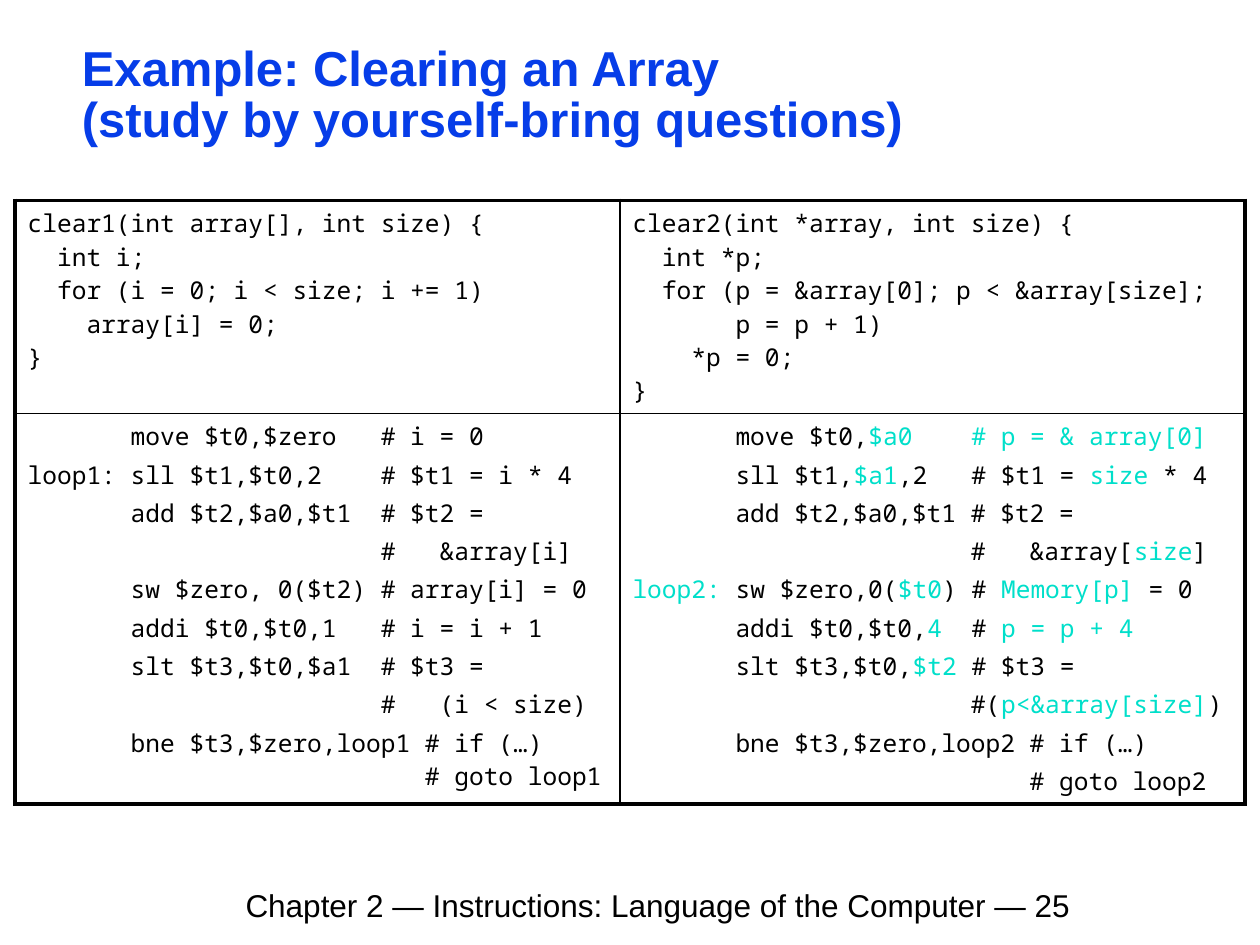
from dataclasses import dataclass

from lxml.etree import SubElement
from pptx import Presentation
from pptx.dml.color import RGBColor
from pptx.oxml.ns import qn
from pptx.util import Inches, Pt


@dataclass(frozen=True)
class Theme:
    """Colours, fonts and sizes of the slide."""
    ink: str = "000000"
    title: str = "063DE8"
    accent: str = "00DFCA"
    paper: str = "FFFFFF"
    text_font: str = "Arial"
    code_font: str = "Noto Sans Mono"
    title_size: float = 28
    footer_size: float = 18
    code_size: float = 14
    code_gap: float = 2.8
    outer_line: float = 2.25
    inner_line: float = 1


THEME = Theme()
TITLE_FORMAT = {"name": THEME.text_font, "size": Pt(THEME.title_size), "bold": True}
FOOTER_FORMAT = {"name": THEME.text_font, "size": Pt(THEME.footer_size)}
CODE_FORMAT = {"name": THEME.code_font, "size": Pt(THEME.code_size)}
TITLE_MARGINS = {
    "margin_left": Inches(0.07), "margin_right": Inches(0.07),
    "margin_top": Inches(0.03), "margin_bottom": Inches(0.03),
}
ACCENT_MARK = "~"
COLUMN_WIDTHS = (4.8, 4.96)
ROW_HEIGHTS = (1.69, 3.1)

ARRAY_SOURCE = [
    "clear1(int array[], int size) {",
    "  int i;",
    "  for (i = 0; i < size; i += 1)",
    "    array[i] = 0;",
    "}",
]
POINTER_SOURCE = [
    "clear2(int *array, int size) {",
    "  int *p;",
    "  for (p = &array[0]; p < &array[size];",
    "       p = p + 1)",
    "    *p = 0;",
    "}",
]
ARRAY_ASSEMBLY = [
    "       move $t0,$zero   # i = 0",
    "loop1: sll $t1,$t0,2    # $t1 = i * 4",
    "       add $t2,$a0,$t1  # $t2 =",
    "                        #   &array[i]",
    "       sw $zero, 0($t2) # array[i] = 0",
    "       addi $t0,$t0,1   # i = i + 1",
    "       slt $t3,$t0,$a1  # $t3 =",
    "                        #   (i < size)",
    "       bne $t3,$zero,loop1 # if (…)\n                           # goto loop1",
]
POINTER_ASSEMBLY = [
    "       move $t0,~$a0    # p = & array[0]~",
    "       sll $t1,~$a1~,2   # $t1 = ~size~ * 4",
    "       add $t2,$a0,$t1 # $t2 =",
    "                       #   &array[~size~]",
    "~loop2:~ sw $zero,0(~$t0~) # ~Memory[p]~ = 0",
    "       addi $t0,$t0,~4~  # ~p = p + 4~",
    "       slt $t3,$t0,~$t2~ # $t3 =",
    "                       #(~p<&array[size]~)",
    "       bne $t3,$zero,loop2 # if (…)",
    "                           # goto loop2",
]
CODE_ROWS = [
    (ARRAY_SOURCE, POINTER_SOURCE, 0),
    (ARRAY_ASSEMBLY, POINTER_ASSEMBLY, THEME.code_gap),
]


def set_attributes(target, values):
    """Set each named value on the target."""
    for name, value in values.items():
        setattr(target, name, value)


def add_run(paragraph, text, font_format, color):
    """Add one formatted run to the paragraph."""
    run = paragraph.add_run()
    run.text = text
    set_attributes(run.font, font_format)
    run.font.color.rgb = RGBColor.from_string(color)


def fill_paragraph(paragraph, text, font_format, color):
    """Write text with line breaks, using the accent colour between marks."""
    for line_number, line in enumerate(text.split("\n")):
        if line_number:
            paragraph.add_line_break()
        for piece_number, piece in enumerate(line.split(ACCENT_MARK)):
            if piece:
                piece_color = THEME.accent if piece_number % 2 else color
                add_run(paragraph, piece, font_format, piece_color)


def add_text(slide, position, text, font_format, color):
    """Add a text box and return its shape."""
    shape = slide.shapes.add_textbox(*map(Inches, position))
    shape.text_frame.word_wrap = True
    fill_paragraph(shape.text_frame.paragraphs[0], text, font_format, color)
    return shape


def add_border(cell, side, width):
    """Draw one side of the cell border."""
    properties = cell._tc.get_or_add_tcPr()
    line = SubElement(properties, qn(f"a:ln{side}"), w=str(Pt(width)))
    fill = SubElement(line, qn("a:solidFill"))
    SubElement(fill, qn("a:srgbClr"), val=THEME.ink)


def fill_cell(cell, lines, gap):
    """Write the code lines and paint the cell."""
    frame = cell.text_frame
    for index, line in enumerate(lines):
        paragraph = frame.add_paragraph() if index else frame.paragraphs[0]
        if index and gap:
            paragraph.space_before = Pt(gap)
        fill_paragraph(paragraph, line, CODE_FORMAT, THEME.ink)
    cell.fill.solid()
    cell.fill.fore_color.rgb = RGBColor.from_string(THEME.paper)


def add_code_table(slide):
    """Add the two by two table that compares both versions."""
    position = (0.12, 1.59, sum(COLUMN_WIDTHS), sum(ROW_HEIGHTS))
    table = slide.shapes.add_table(2, 2, *map(Inches, position)).table
    for column, width in zip(table.columns, COLUMN_WIDTHS):
        column.width = Inches(width)
    for row, height in zip(table.rows, ROW_HEIGHTS):
        row.height = Inches(height)
    for row_index, (*listings, gap) in enumerate(CODE_ROWS):
        for column_index, lines in enumerate(listings):
            cell = table.cell(row_index, column_index)
            outer_sides = ("LR"[column_index], "TB"[row_index])
            for side in "LRTB":
                outer = side in outer_sides
                add_border(cell, side, THEME.outer_line if outer else THEME.inner_line)
            fill_cell(cell, lines, gap)


def main():
    """Build the slide and save it."""
    presentation = Presentation()
    set_attributes(presentation, {"slide_width": Inches(10), "slide_height": Inches(7.5)})
    slide = presentation.slides.add_slide(presentation.slide_layouts[6])
    add_text(slide, (1.85, 6.98, 7.95, 0.39),
             "Chapter 2 — Instructions: Language of the Computer — 25",
             FOOTER_FORMAT, THEME.ink)
    title = add_text(slide, (0.58, 0.33, 8.92, 0.88),
                     "Example: Clearing an Array\n(study by yourself-bring questions)",
                     TITLE_FORMAT, THEME.title)
    set_attributes(title.text_frame, TITLE_MARGINS)
    title.text_frame.paragraphs[0].line_spacing = 0.87
    add_code_table(slide)
    presentation.save("out.pptx")


if __name__ == "__main__":
    main()
